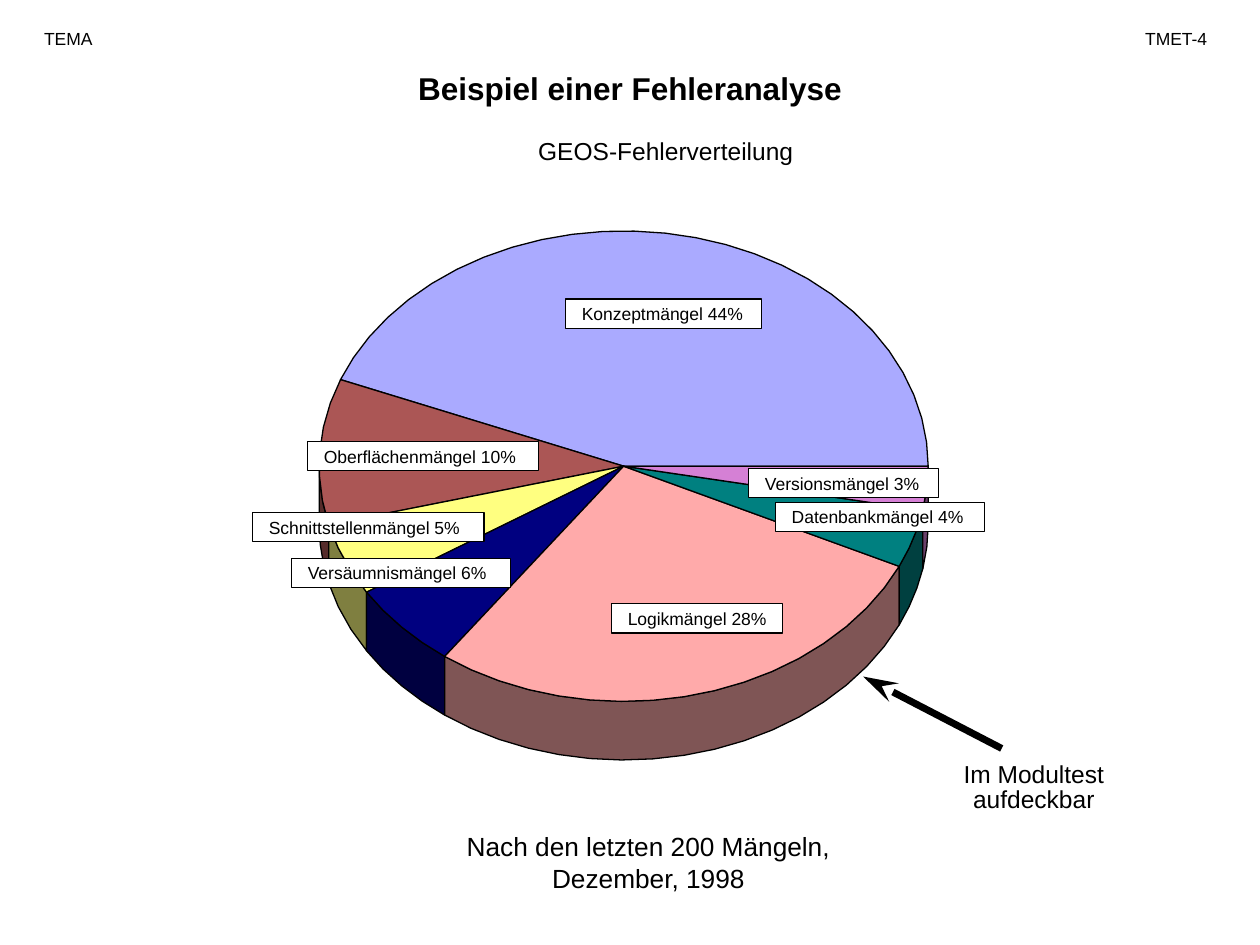
from math import ceil, cos, radians, sin
from typing import NamedTuple

from lxml.etree import SubElement
from pptx import Presentation
from pptx.dml.color import RGBColor
from pptx.enum.shapes import MSO_CONNECTOR, MSO_SHAPE
from pptx.enum.text import MSO_ANCHOR, PP_ALIGN
from pptx.oxml.ns import qn
from pptx.util import Pt

CENTER_X, CENTER_Y = 356.4, 266.4
RADIUS_X, RADIUS_Y = 174, 134.4
DEPTH = 33.5
LABEL_HEIGHT = 16.8
STEP = 6  # degrees between points on the rim


class Slice(NamedTuple):
    name: str
    percent: int
    top_color: str
    wall_color: str
    label_left: float
    label_top: float
    label_width: float


# Counter-clockwise from the right end of the horizontal axis
SLICES = [
    Slice("Konzeptmängel", 44, "AAAAFF", "555580", 323.1, 170.8, 112.3),
    Slice("Oberflächenmängel", 10, "AB5655", "562C2B", 175.6, 252.2, 132.3),
    Slice("Schnittstellenmängel", 5, "FFFF80", "7F7F40", 144.2, 292.8, 132.5),
    Slice("Versäumnismängel", 6, "000080", "000040", 166.5, 319, 125.2),
    Slice("Logikmängel", 28, "FFAAAA", "7F5555", 349.3, 345, 98),
    Slice("Datenbankmängel", 4, "008080", "004040", 443, 287, 119.7),
    Slice("Versionsmängel", 3, "D580D5", "6A406A", 427.7, 267.6, 108.6),
]


def rgb(color: str) -> RGBColor:
    return RGBColor.from_string(color)


def paint(shape, fill: str) -> None:
    """Fill the shape and give it a black hairline without shadow."""
    shape.shadow.inherit = False
    shape.fill.solid()
    shape.fill.fore_color.rgb = rgb(fill)
    shape.line.color.rgb = rgb("000000")
    shape.line.width = Pt(0)


def write(shape, text: str, *, size: float, bold: bool = False,
          align=PP_ALIGN.LEFT, anchor=MSO_ANCHOR.TOP, inset: float = 0,
          line_spacing=None, wrap: bool = True) -> None:
    frame = shape.text_frame
    frame.text = text
    frame.word_wrap = wrap
    frame.vertical_anchor = anchor
    frame.margin_left = Pt(inset)
    frame.margin_right = frame.margin_top = frame.margin_bottom = 0
    for paragraph in frame.paragraphs:
        paragraph.alignment = align
        paragraph.space_before = Pt(0)
        paragraph.line_spacing = line_spacing
        paragraph.font.name = "Arial"
        paragraph.font.size = Pt(size)
        paragraph.font.bold = bold
        paragraph.font.color.rgb = rgb("000000")


def add_text(slide, text: str, left: float, top: float, width: float,
             height: float, **text_format) -> None:
    box = slide.shapes.add_textbox(Pt(left), Pt(top), Pt(width), Pt(height))
    write(box, text, **text_format)


def rim(start: float, end: float) -> list[tuple[float, float]]:
    """Points on the upper edge of the pie between two angles in degrees."""
    count = max(1, ceil((end - start) / STEP))
    angles = [radians(start + (end - start) * i / count)
              for i in range(count + 1)]
    return [(CENTER_X + RADIUS_X * cos(a), CENTER_Y - RADIUS_Y * sin(a))
            for a in angles]


def add_polygon(slide, points: list[tuple[float, float]], fill: str) -> None:
    first, *others = [(Pt(x), Pt(y)) for x, y in points]
    builder = slide.shapes.build_freeform(*first, scale=1.0)
    builder.add_line_segments(others, close=True)
    paint(builder.convert_to_shape(), fill)


def add_pie(slide) -> None:
    tops = []
    start = 0.0
    for part in SLICES:
        end = start + part.percent * 3.6
        if end > 180:
            edge = rim(max(start, 180), end)
            lower_edge = [(x, y + DEPTH) for x, y in reversed(edge)]
            add_polygon(slide, edge + lower_edge, part.wall_color)
        tops.append((rim(start, end) + [(CENTER_X, CENTER_Y)], part.top_color))
        start = end
    for outline, color in tops:
        add_polygon(slide, outline, color)


def add_label(slide, part: Slice) -> None:
    label = slide.shapes.add_shape(
        MSO_SHAPE.RECTANGLE, Pt(part.label_left), Pt(part.label_top),
        Pt(part.label_width), Pt(LABEL_HEIGHT))
    paint(label, "FFFFFF")
    write(label, f"{part.name} {part.percent}%", size=10, inset=9.4,
          anchor=MSO_ANCHOR.MIDDLE, wrap=False)


def add_arrow(slide, start: tuple[float, float],
              end: tuple[float, float]) -> None:
    arrow = slide.shapes.add_connector(
        MSO_CONNECTOR.STRAIGHT, *map(Pt, start), *map(Pt, end))
    arrow.line.color.rgb = rgb("000000")
    arrow.line.width = Pt(4)
    SubElement(arrow.line._get_or_add_ln(), qn("a:tailEnd"),
               type="stealth", w="med", len="lg")
    SubElement(arrow._element.spPr, qn("a:effectLst"))


def main() -> None:
    presentation = Presentation()
    presentation.slide_width, presentation.slide_height = Pt(720), Pt(540)
    slide = presentation.slides.add_slide(presentation.slide_layouts[5])

    title = slide.shapes.title
    title.left, title.top = Pt(144), Pt(36)
    title.width, title.height = Pt(432), Pt(28.8)
    write(title, "Beispiel einer Fehleranalyse", size=18, bold=True,
          align=PP_ALIGN.CENTER, anchor=MSO_ANCHOR.MIDDLE)

    add_text(slide, "TEMA", 25.2, 15.8, 52, 12, size=10)
    add_text(slide, "TMET-4", 649.4, 15.8, 45.4, 12, size=10,
             align=PP_ALIGN.CENTER)
    add_text(slide, "GEOS-Fehlerverteilung", 262.8, 77.8, 235.4, 16.6,
             size=14, align=PP_ALIGN.CENTER)

    add_pie(slide)
    for part in SLICES:
        add_label(slide, part)

    add_arrow(slide, (572.4, 427.7), (493.2, 386.6))
    add_text(slide, "Im Modultest\naufdeckbar", 540, 437, 101.6, 28, size=14,
             align=PP_ALIGN.CENTER, line_spacing=Pt(13.8))
    add_text(slide, "Nach den letzten 200 Mängeln,\nDezember, 1998",
             250, 474.5, 241, 34.6, size=15, align=PP_ALIGN.CENTER)

    presentation.save("out.pptx")


if __name__ == "__main__":
    main()
